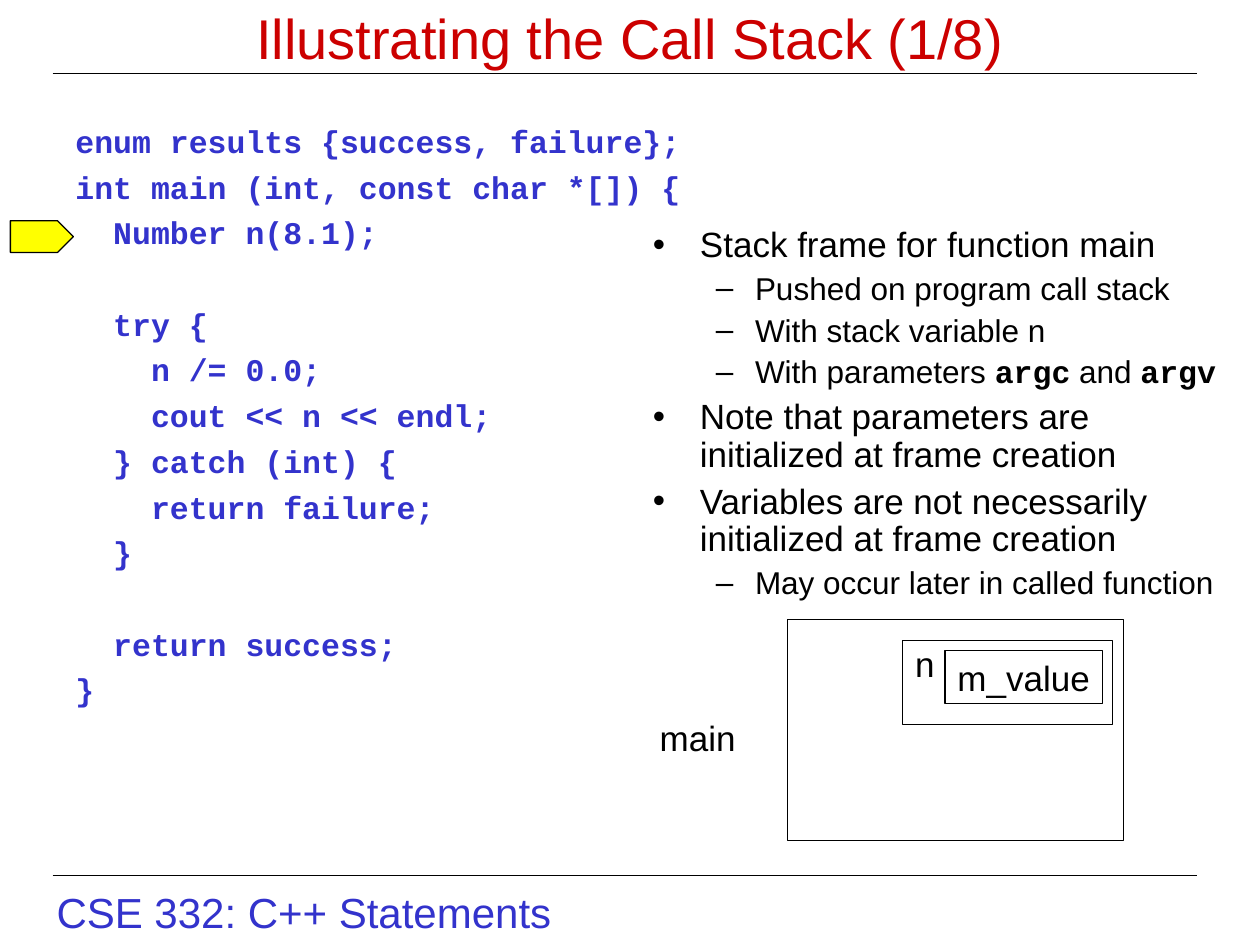
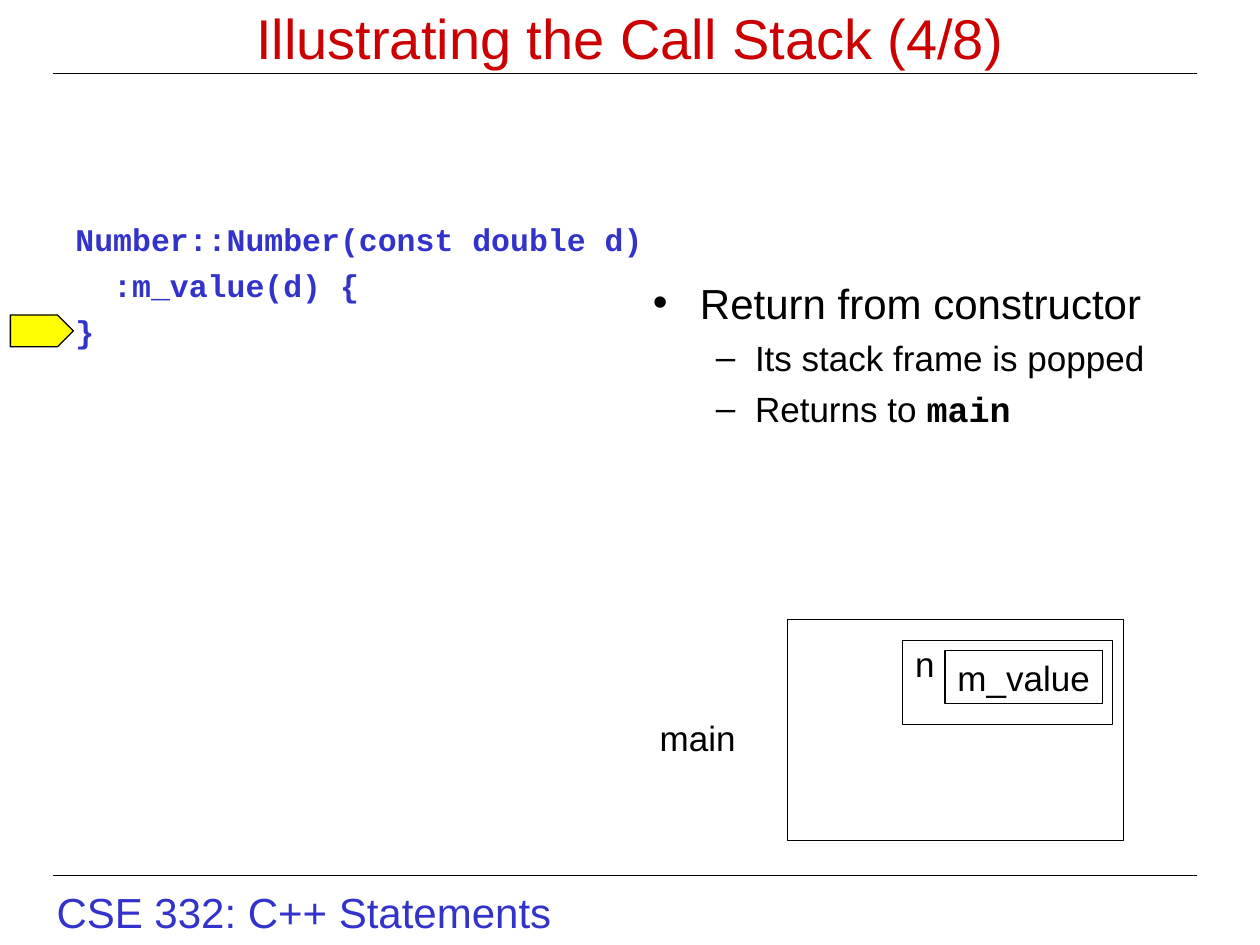
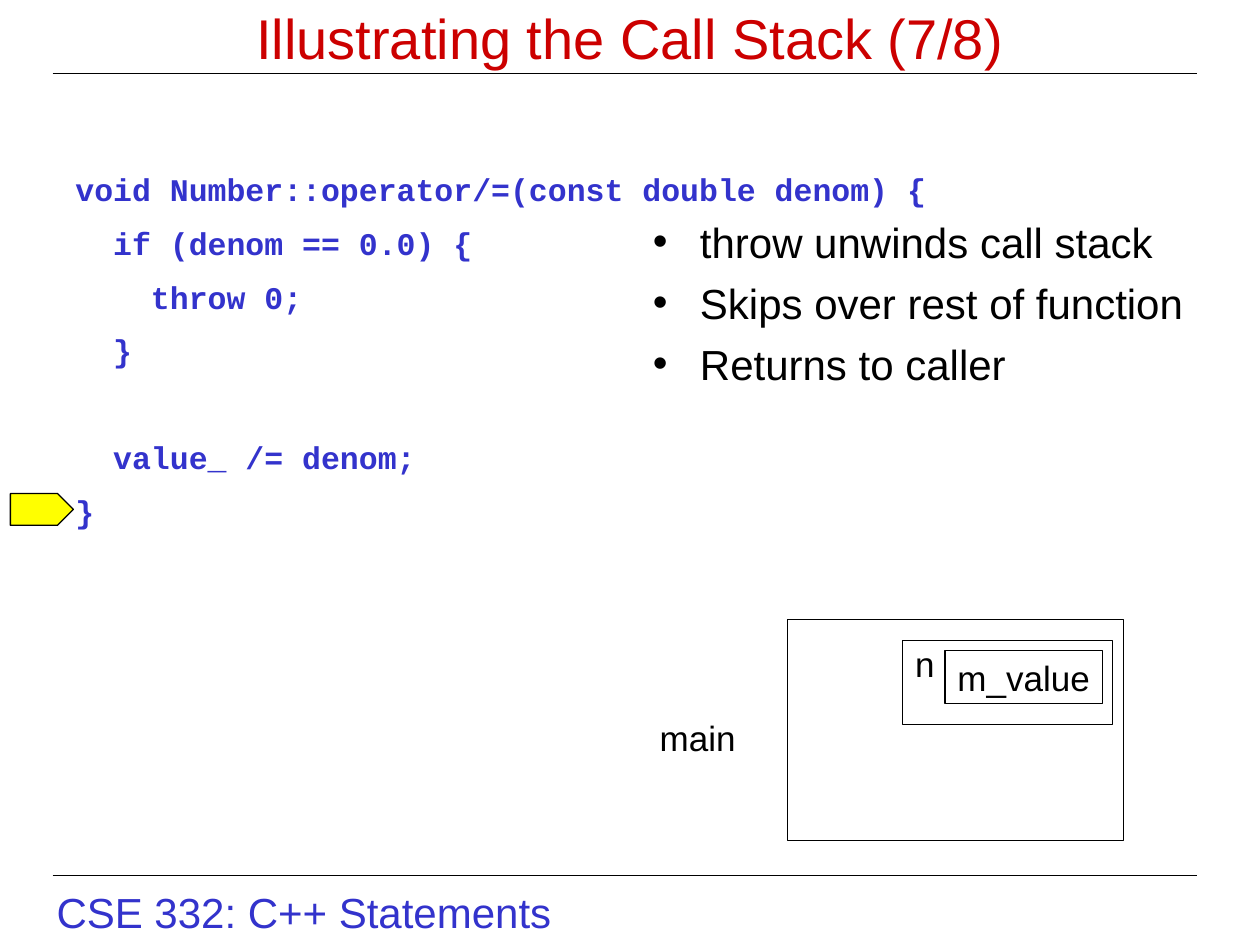
"""Build three call stack slides with code, bullets and a stack frame sketch."""
from lxml import etree
from pptx import Presentation
from pptx.dml.color import RGBColor
from pptx.enum import shapes, text
from pptx.oxml import ns
from pptx.util import Cm, Pt

COLORS = {"title": "CC0000", "code": "3333CC", "ink": "000000", "paper": "FFFFFF", "marker": "FFFF00"}
BULLETS = [("•", 0.95, -0.95), ("–", 2.06, -0.79)]


def write(frame, lines, sizes=(20,), color="ink", font="Arial", bold=False, align="LEFT",
          anchor="TOP", wrap=True, spacing=1, before=None, top=0.13):
    """Fill a frame; (level, text) lines get bullets, backticks mark code, "" widens the next gap."""
    frame.auto_size = text.MSO_AUTO_SIZE.NONE
    frame.word_wrap = wrap
    frame.vertical_anchor = text.MSO_ANCHOR[anchor]
    frame.margin_left = frame.margin_right = Cm(0.25)
    frame.margin_top, frame.margin_bottom = Cm(top), Cm(0.13)
    gap, paragraph = 0, None
    for line in lines:
        level, words = line if isinstance(line, tuple) else (None, line)
        size = sizes[level or 0]
        space = size / 4 if before is None else before
        if not words:
            gap = size * 1.2 * spacing + space
            continue
        first = paragraph is None
        paragraph = frame.paragraphs[0] if first else frame.add_paragraph()
        props = paragraph._p.get_or_add_pPr()
        if level is None:
            props.set("marL", "0")
            props.set("indent", "0")
            etree.SubElement(props, ns.qn("a:buNone"))
        else:
            mark, margin, hang = BULLETS[level]
            paragraph.level = level
            props.set("marL", str(Cm(margin)))
            props.set("indent", str(Cm(hang)))
            tint = etree.SubElement(props, ns.qn("a:buClr"))
            etree.SubElement(tint, ns.qn("a:srgbClr")).set("val", COLORS["ink"])
            etree.SubElement(props, ns.qn("a:buFont")).set("typeface", "Arial")
            etree.SubElement(props, ns.qn("a:buChar")).set("char", mark)
        paragraph.alignment = text.PP_ALIGN[align]
        paragraph.line_spacing = spacing
        paragraph.space_before = Pt(0 if first else round(space + gap, 1))
        paragraph.space_after = Pt(0)
        gap = 0
        for index, part in enumerate(words.split("`")):
            if part:
                run = paragraph.add_run()
                run.text = part
                run.font.name = "Courier New" if index % 2 else font
                run.font.bold = bold or index % 2 == 1
                run.font.size = Pt(size)
                run.font.color.rgb = RGBColor.from_string(COLORS[color])


def draw(slide, kind, box, fill):
    """Add an outlined preset shape."""
    shape = slide.shapes.add_shape(kind, *map(Cm, box))
    shape.shadow.inherit = False
    shape.fill.solid()
    shape.fill.fore_color.rgb = RGBColor.from_string(COLORS[fill])
    shape.line.color.rgb = RGBColor.from_string(COLORS["ink"])
    shape.line.width = Pt(0.75)
    return shape


STEPS = [
    {
        "number": 1,
        "code": [
            "enum results {success, failure};",
            "int main (int, const char *[]) {",
            "  Number n(8.1);",
            "",
            "  try {",
            "    n /= 0.0;",
            "    cout << n << endl;",
            "  } catch (int) {",
            "    return failure;",
            "  }",
            "",
            "  return success;",
            "}",
        ],
        "code_box": (1.27, 2.33, 16.08, 13.76),
        "code_format": {},
        "notes": [
            (0, "Stack frame for function main"),
            (1, "Pushed on program call stack"),
            (1, "With stack variable n"),
            (1, "With parameters `argc` and `argv`"),
            (0, "Note that parameters are initialized at frame creation"),
            (0, "Variables are not necessarily initialized at frame creation"),
            (1, "May occur later in called function"),
        ],
        "notes_top": 4.45,
        "notes_format": {"sizes": (20, 18), "spacing": 0.9},
        "marker_top": 4.45,
    },
    {
        "number": 4,
        "code": ["Number::Number(const double d)", "  :m_value(d) {", "}"],
        "code_box": (1.27, 4.31, 13.76, 12.84),
        "code_format": {},
        "notes": [
            (0, "Return from constructor"),
            (1, "Its stack frame is popped"),
            (1, "Returns to `main`"),
        ],
        "notes_top": 5.46,
        "notes_format": {"sizes": (24, 20)},
        "marker_top": 6.35,
    },
    {
        "number": 7,
        "code": [
            "void Number::operator/=(const double denom) {",
            "  if (denom == 0.0) {",
            "    throw 0;",
            "  }",
            "",
            "  value_ /= denom;",
            "}",
        ],
        "code_box": (1.27, 3.39, 17.99, 7.45),
        "code_format": {"spacing": 0.9, "before": 11.2},
        "notes": [
            (0, "throw unwinds call stack"),
            (0, "Skips over rest of function"),
            (0, "Returns to caller"),
        ],
        "notes_top": 4.23,
        "notes_format": {"sizes": (24, 20)},
        "marker_top": 9.95,
    },
]

deck = Presentation()
deck.slide_width, deck.slide_height = Cm(25.4), Cm(19.05)

for step in STEPS:
    floating_code = step["number"] == 7
    slide = deck.slides.add_slide(deck.slide_layouts[1 if floating_code else 3])

    footer = slide.shapes.add_textbox(Cm(0.89), Cm(17.75), Cm(10.49), Cm(1.27))
    write(footer.text_frame, ["CSE 332: C++ Statements"], sizes=(24,), color="code", wrap=False)
    for height in (1.48, 17.65):
        rule = slide.shapes.add_connector(
            shapes.MSO_CONNECTOR.STRAIGHT, Cm(1.06), Cm(height), Cm(24.13), Cm(height))
        rule.line.color.rgb = RGBColor.from_string(COLORS["ink"])
        rule.line.width = Pt(0.75)
        etree.SubElement(rule._element.spPr, ns.qn("a:effectLst"))

    title = slide.shapes.title
    title.left, title.top, title.width, title.height = map(Cm, (0.64, 0, 24.13, 1.48))
    write(title.text_frame, [f"Illustrating the Call Stack ({step['number']}/8)"], sizes=(32,),
          color="title", align="CENTER", anchor="MIDDLE")

    if floating_code:
        notes = slide.placeholders[1]
        code = slide.shapes.add_textbox(0, 0, 0, 0)
    else:
        code, notes = slide.placeholders[1], slide.placeholders[2]
    code.left, code.top, code.width, code.height = map(Cm, step["code_box"])
    write(code.text_frame, step["code"], sizes=(18,), color="code", font="Courier New", bold=True,
          **step["code_format"])
    notes.left, notes.top, notes.width, notes.height = map(Cm, (12.91, step["notes_top"], 12.28, 8.26))
    write(notes.text_frame, step["notes"], **step["notes_format"])

    draw(slide, shapes.MSO_SHAPE.RECTANGLE, (15.88, 12.49, 6.77, 4.45), "paper")
    variable = draw(slide, shapes.MSO_SHAPE.RECTANGLE, (18.2, 12.91, 4.23, 1.69), "paper")
    write(variable.text_frame, ["n"], top=0.05)
    member = draw(slide, shapes.MSO_SHAPE.RECTANGLE, (19.05, 13.12, 3.18, 1.06), "paper")
    write(member.text_frame, ["m_value"], anchor="MIDDLE", wrap=False)
    function = slide.shapes.add_textbox(Cm(13.05), Cm(14.31), Cm(2.03), Cm(1.11))
    write(function.text_frame, ["main"], wrap=False)

    draw(slide, shapes.MSO_SHAPE.PENTAGON, (0.21, step["marker_top"], 1.27, 0.64), "marker")

deck.save("out.pptx")
